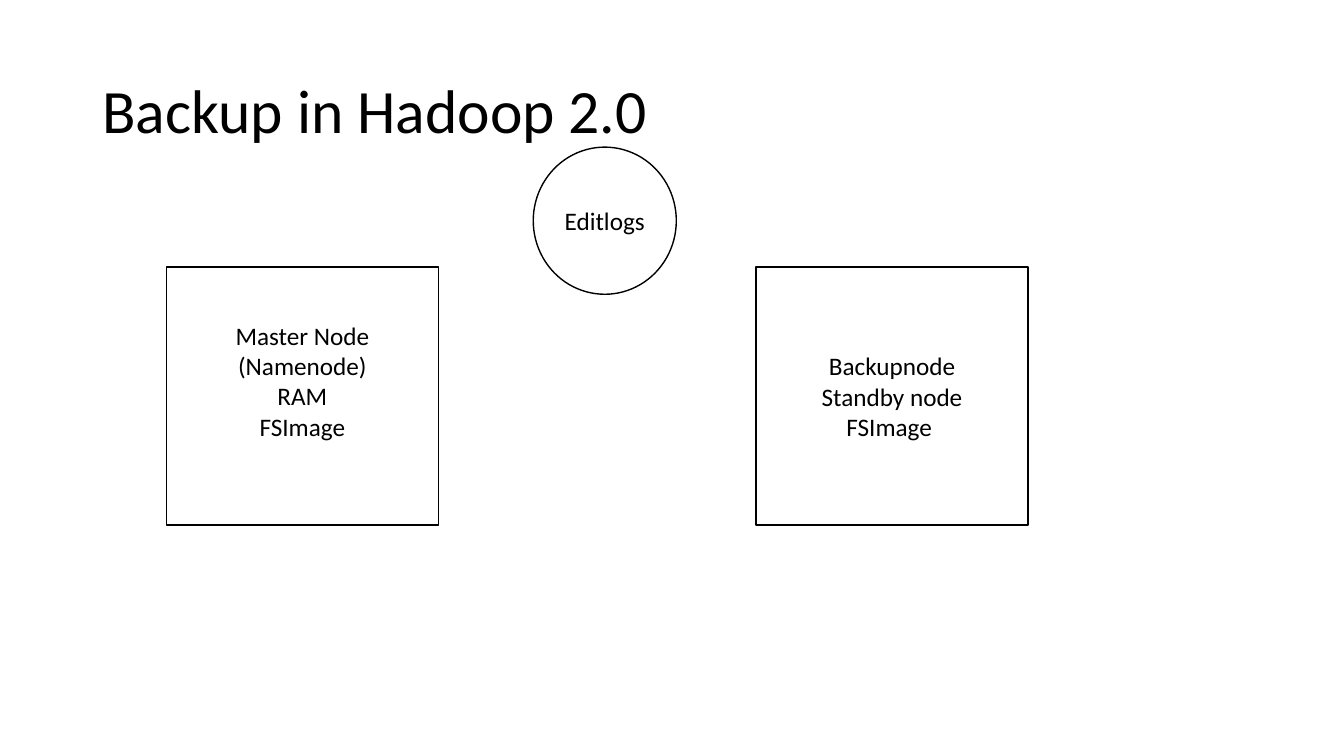
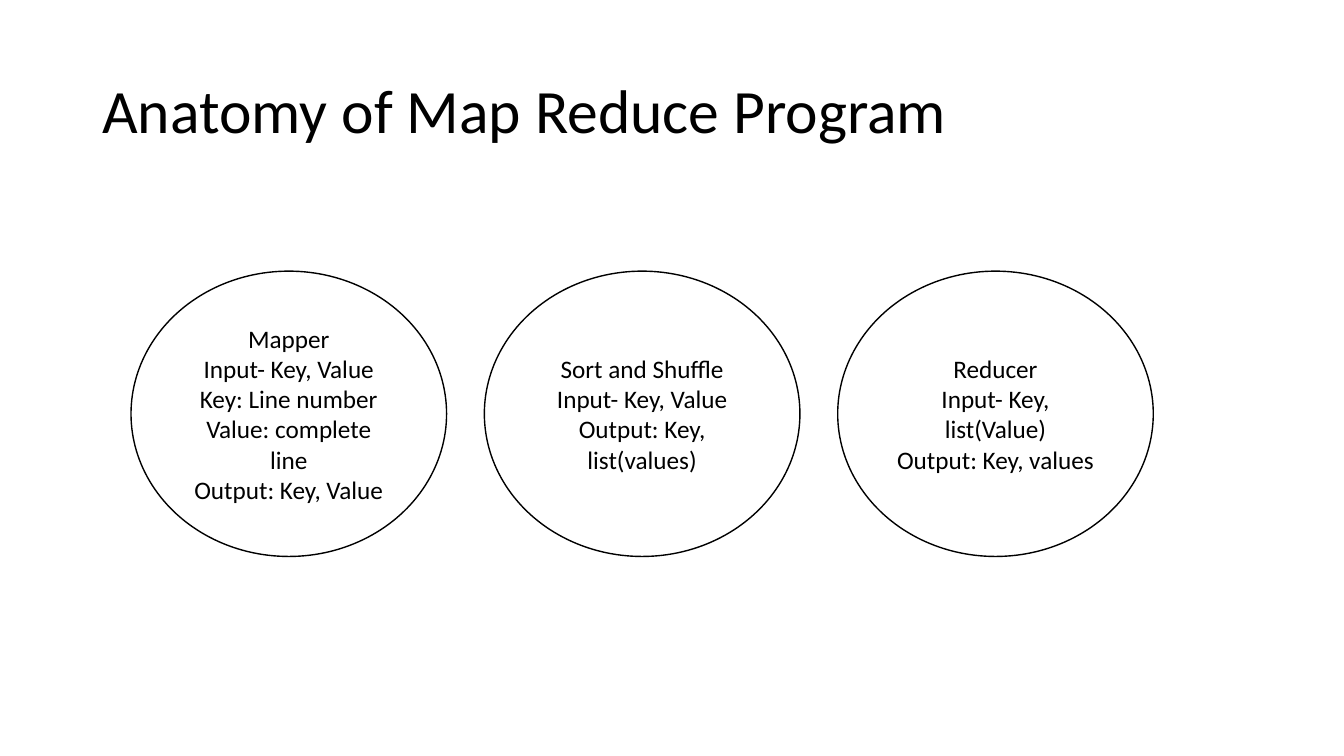
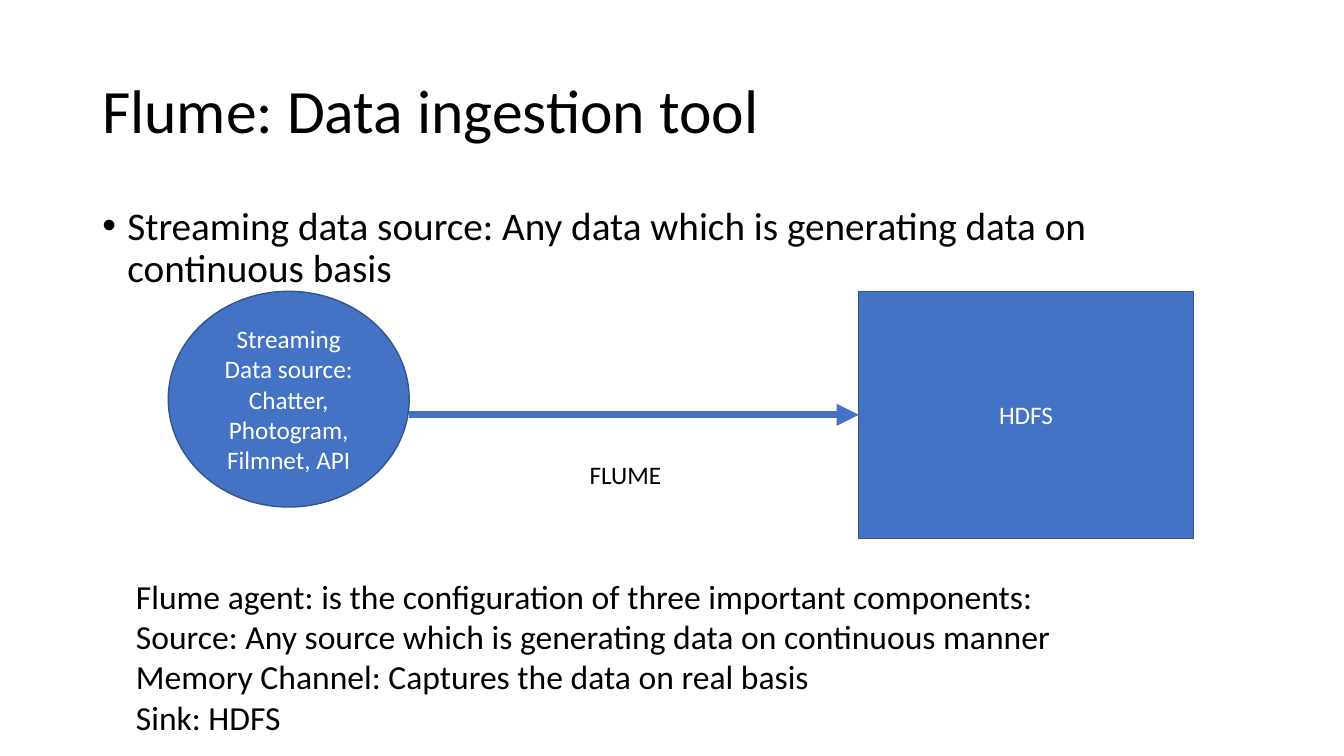
from lxml.etree import SubElement
from pptx import Presentation
from pptx.dml.color import RGBColor
from pptx.enum.shapes import MSO_CONNECTOR, MSO_SHAPE
from pptx.enum.text import MSO_ANCHOR, MSO_AUTO_SIZE, PP_ALIGN
from pptx.oxml.ns import qn
from pptx.util import Pt

FONT = "Calibri"
COLORS = {"black": "000000", "white": "FFFFFF", "blue": "4472C4", "navy": "325491"}
OUTLINED = {"fill": "white", "line": "black", "color": "black"}
FILLED = {"fill": "blue", "line": "navy", "color": "white"}


def rgb(name):
    return RGBColor.from_string(COLORS[name])


def add_bullet(paragraph, indent):
    properties = paragraph._p.get_or_add_pPr()
    properties.set("marL", str(Pt(indent)))
    properties.set("indent", str(-Pt(indent)))
    SubElement(properties, qn("a:buFont")).set("typeface", "Arial")
    SubElement(properties, qn("a:buChar")).set("char", "•")


def write(shape, lines, size=18, color="black", align=PP_ALIGN.LEFT,
          anchor=MSO_ANCHOR.TOP, spacing=None, before=None, bullet_indent=None,
          wrap=True, grow=False, bottom_inset=3.6):
    """Fill a shape with one paragraph per line."""
    frame = shape.text_frame
    frame.word_wrap = wrap
    frame.auto_size = MSO_AUTO_SIZE.SHAPE_TO_FIT_TEXT if grow else MSO_AUTO_SIZE.NONE
    frame.vertical_anchor = anchor
    frame.margin_bottom = Pt(bottom_inset)
    for index, line in enumerate(lines):
        paragraph = frame.add_paragraph() if index else frame.paragraphs[0]
        paragraph.alignment = align
        if spacing:
            paragraph.line_spacing = spacing
        if before:
            paragraph.space_before = Pt(before)
        if bullet_indent:
            add_bullet(paragraph, bullet_indent)
        run = paragraph.add_run()
        run.text = line
        run.font.name = FONT
        run.font.size = Pt(size)
        run.font.color.rgb = rgb(color)


def add_text(slide, box, lines, **text_format):
    write(slide.shapes.add_textbox(*map(Pt, box)), lines, **text_format)


def add_node(slide, kind, box, lines, fill, line, color, **text_format):
    """Add a preset shape with centred text."""
    node = slide.shapes.add_shape(kind, *map(Pt, box))
    node.shadow.inherit = False
    node.fill.solid()
    node.fill.fore_color.rgb = rgb(fill)
    node.line.color.rgb = rgb(line)
    node.line.width = Pt(1)
    write(node, lines, color=color, align=PP_ALIGN.CENTER,
          anchor=MSO_ANCHOR.MIDDLE, **text_format)
    return node


def add_arrow_to(slide, start_x, target):
    """Draw a level arrow from start_x to the left side of the target."""
    middle = target.top + target.height // 2
    arrow = slide.shapes.add_connector(
        MSO_CONNECTOR.STRAIGHT, Pt(start_x), middle, target.left, middle)
    arrow.end_connect(target, 1)
    arrow.line.color.rgb = rgb("blue")
    arrow.line.width = Pt(5.25)
    SubElement(arrow.line._get_or_add_ln(), qn("a:tailEnd")).set("type", "triangle")
    SubElement(arrow._element.spPr, qn("a:effectLst"))


def add_titled_slide(deck, title):
    slide = deck.slides.add_slide(deck.slide_layouts[6])
    add_text(slide, (66, 28.8, 828, 104.4), [title], size=44,
             anchor=MSO_ANCHOR.MIDDLE, spacing=0.9)
    return slide


def build_backup(deck):
    slide = add_titled_slide(deck, "Backup in Hadoop 2.0")
    servers = [
        (118.8, ["Master Node (Namenode)", "RAM", "FSImage"], 25.6),
        (540, ["Backupnode", "Standby node", "FSImage "], 3.6),
    ]
    for left, lines, bottom_inset in servers:
        add_node(slide, MSO_SHAPE.RECTANGLE, (left, 190.8, 194.4, 184.3), lines,
                 bottom_inset=bottom_inset, **OUTLINED)
    add_node(slide, MSO_SHAPE.OVAL, (380.9, 105.1, 102.2, 105.1), ["Editlogs"], **OUTLINED)


def build_map_reduce(deck):
    slide = add_titled_slide(deck, "Anatomy of Map Reduce Program")
    stages = [
        ["Mapper", "Input- Key, Value", "Key: Line number",
         "Value: complete line", "Output: Key, Value"],
        ["Sort and Shuffle", "Input- Key, Value", "Output: Key, list(values)"],
        ["Reducer", "Input- Key, list(Value)", "Output: Key, values"],
    ]
    for index, lines in enumerate(stages):
        add_node(slide, MSO_SHAPE.OVAL, (93.6 + index * 252.4, 193.7, 225.4, 203.8),
                 lines, **OUTLINED)


def build_flume(deck):
    slide = add_titled_slide(deck, "Flume: Data ingestion tool")
    add_text(slide, (66, 144, 828, 342.7),
             ["Streaming data source: Any data which is generating data on continuous basis"],
             size=28, spacing=0.9, before=10, bullet_indent=18)
    add_node(slide, MSO_SHAPE.OVAL, (120.2, 208.1, 172.1, 154.1),
             ["Streaming Data source: Chatter, Photogram, Filmnet, API"], **FILLED)
    hdfs = add_node(slide, MSO_SHAPE.RECTANGLE, (613.4, 208.1, 239, 176.4),
                    ["HDFS"], **FILLED)
    add_arrow_to(slide, 292.3, hdfs)
    add_text(slide, (414, 324.7, 66.2, 28.8), ["FLUME"], wrap=False, grow=True)
    add_text(slide, (90, 407.5, 784, 123.8), [
        "Flume agent: is the configuration of three important components:",
        "Source: Any source which is generating data on continuous manner",
        "Memory Channel: Captures the data on real basis",
        "Sink: HDFS",
    ], size=24, grow=True)


def main():
    deck = Presentation()
    deck.slide_width, deck.slide_height = Pt(960), Pt(540)
    build_backup(deck)
    build_map_reduce(deck)
    build_flume(deck)
    deck.save("out.pptx")


if __name__ == "__main__":
    main()
